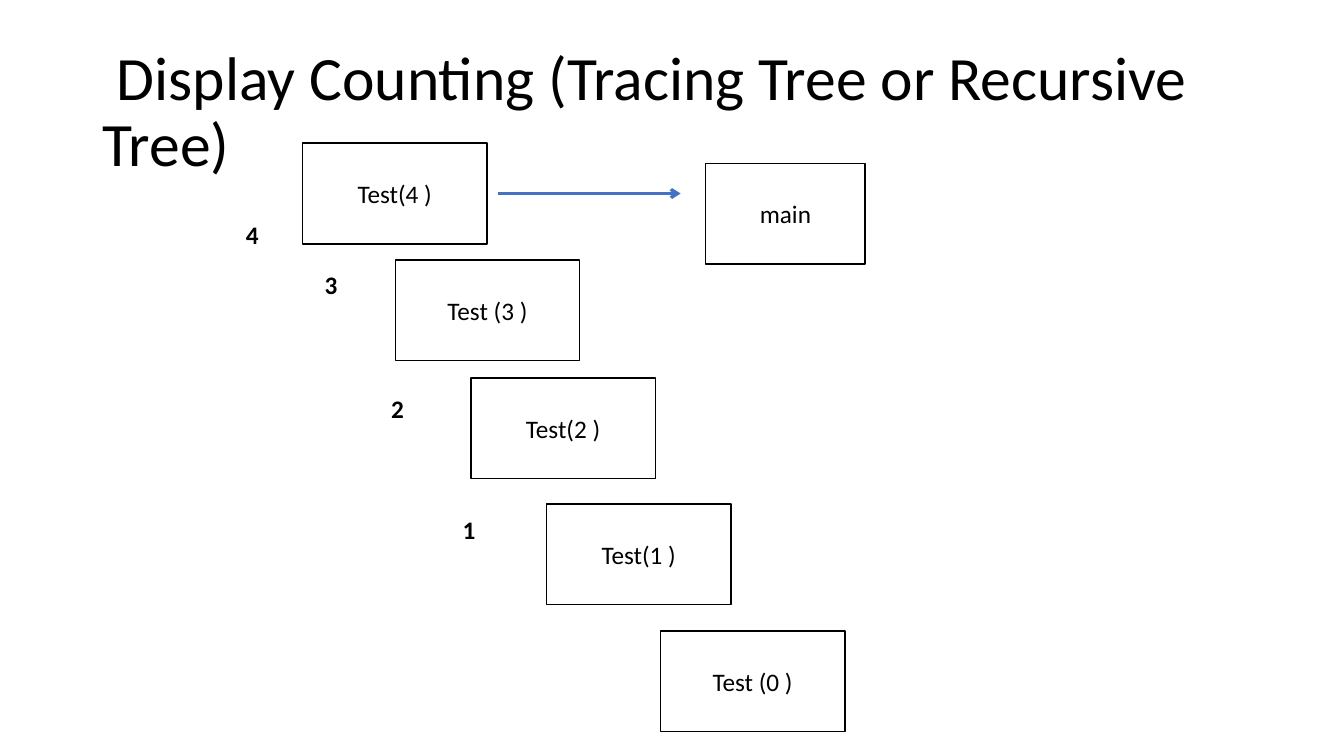
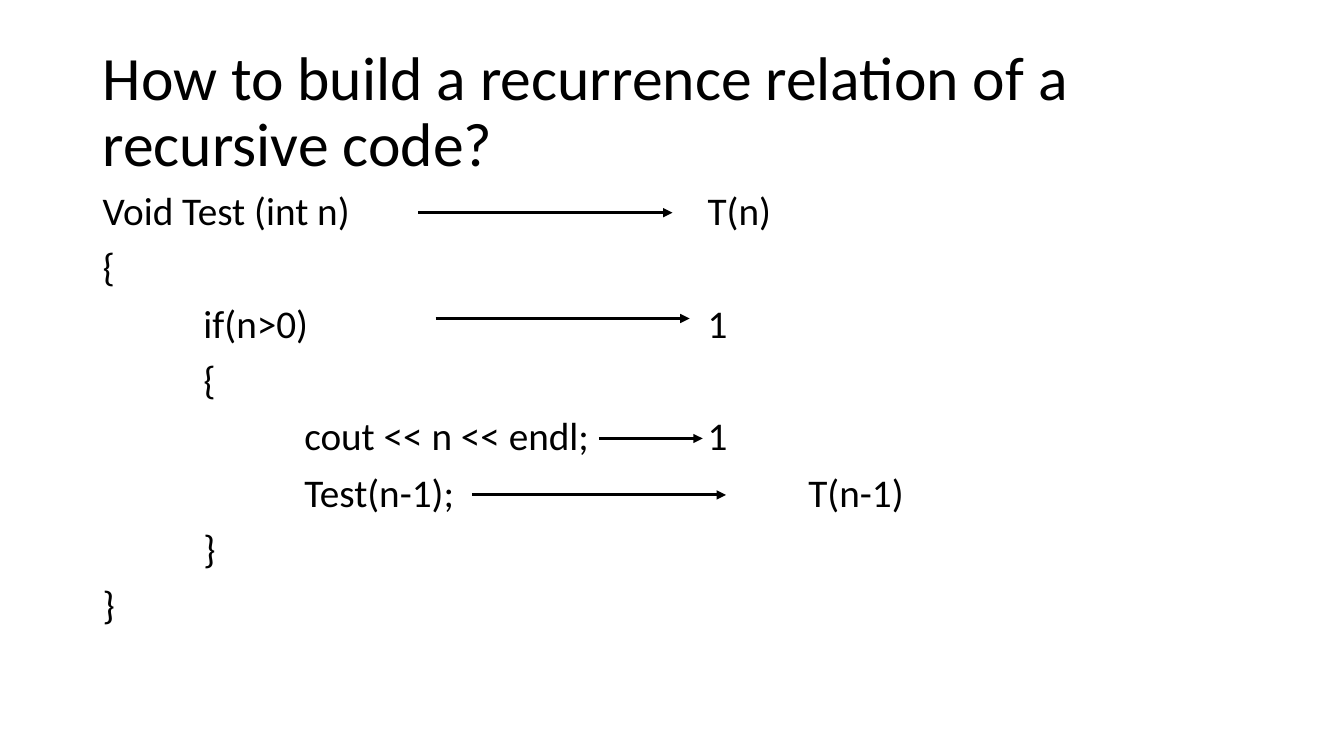
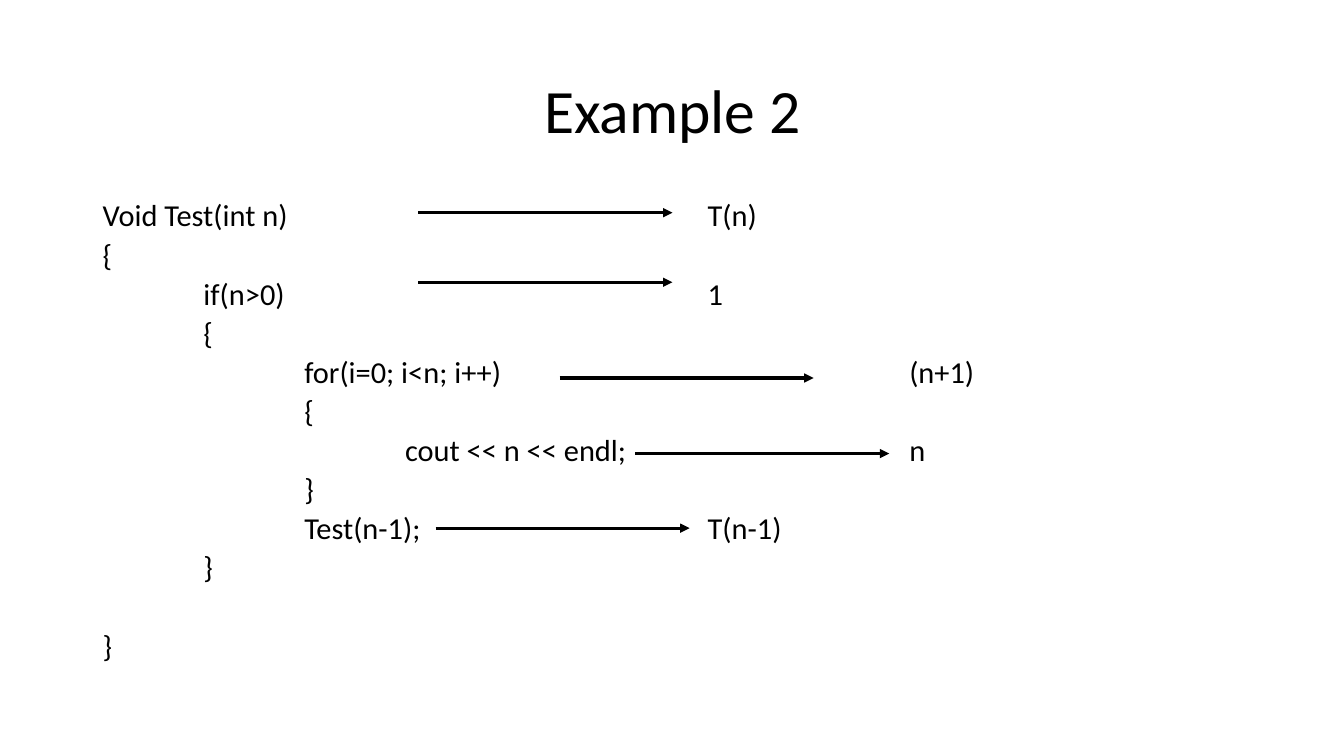
from lxml import etree
from pptx import Presentation
from pptx.dml.color import RGBColor
from pptx.enum.shapes import MSO_CONNECTOR, MSO_SHAPE
from pptx.enum.text import MSO_ANCHOR, PP_ALIGN
from pptx.oxml.ns import qn
from pptx.util import Emu, Pt

RECTANGLE = MSO_SHAPE.RECTANGLE
STRAIGHT = MSO_CONNECTOR.STRAIGHT
LEFT, CENTER = PP_ALIGN.LEFT, PP_ALIGN.CENTER
TOP, MIDDLE = MSO_ANCHOR.TOP, MSO_ANCHOR.MIDDLE

# Shared look: 100 px to the inch
EMU_PER_PX = 9144
FONT = "Calibri"
COLORS = {"ink": "000000", "paper": "FFFFFF", "accent": "4472C4"}
TITLE_BOX = (92, 40, 1150, 145)
TAB_WIDTH = 100
ARROW_LENGTH = 252

# Call tree: label, left, top
CALL_SIZE = (183, 100)
CALLS = [
    ("Test(4 )", 300, 142),
    ("Test (3 )", 392, 258),
    ("Test(2 )", 467, 375),
    ("Test(1 )", 542, 500),
    ("Test (0 )", 655, 626),
]
OUTPUTS = [("4", 234, 213), ("3", 312, 262), ("2", 378, 385), ("1", 449, 505)]

# Code rows: depth, code, then cost and its column where there is one
RECURRENCE_CODE = [
    (0, "Void Test (int n)", "T(n)", 600),
    (0, "{"),
    (1, "if(n>0)", "1", 600),
    (1, "{"),
    (2, "cout << n << endl;", "1", 600),
    (2, "Test(n-1);", "T(n-1)", 700),
    (1, "}"),
    (0, "}"),
]
LOOP_CODE = [
    (0, "Void Test(int n)", "T(n)", 600),
    (0, "{"),
    (1, "if(n>0)", "1", 600),
    (1, "{"),
    (2, "for(i=0; i<n; i++)", "(n+1)", 800),
    (2, "{"),
    (3, "cout << n << endl;", "n", 800),
    (2, "}"),
    (2, "Test(n-1);", "T(n-1)", 600),
    (1, "}"),
    (0, "}"),
]

# Cost arrows: left, top, length
RECURRENCE_ARROWS = [
    (415, 211, ARROW_LENGTH),
    (432, 316, ARROW_LENGTH),
    (594, 435, 103),
    (468, 491, ARROW_LENGTH),
]
LOOP_ARROWS = [
    (left, top, ARROW_LENGTH)
    for left, top in [(415, 211), (415, 280), (555, 375), (630, 450), (432, 524)]
]


def px(value):
    return Emu(value * EMU_PER_PX)


def color(name):
    return RGBColor.from_string(COLORS[name])


def write(paragraph, text, size=18, bold=False, align=LEFT, line_spacing=1.0,
          space_before=0, first_indent=0, tabs=()):
    """Fill one paragraph with formatted text."""
    properties = paragraph._p.get_or_add_pPr()
    if first_indent:
        properties.set("marL", "0")
        properties.set("indent", str(px(first_indent)))
    if tabs:
        tab_list = etree.SubElement(properties, qn("a:tabLst"))
        for position in tabs:
            etree.SubElement(tab_list, qn("a:tab"), pos=str(px(position)), algn="l")
    paragraph.alignment = align
    paragraph.line_spacing = line_spacing
    paragraph.space_before = Pt(space_before)
    run = paragraph.add_run()
    run.text = text
    run.font.name = FONT
    run.font.size = Pt(size)
    run.font.bold = bold
    run.font.color.rgb = color("ink")


def add_text_frame(slide, box, anchor=TOP):
    frame = slide.shapes.add_textbox(*map(px, box)).text_frame
    frame.word_wrap = True
    frame.vertical_anchor = anchor
    return frame


def add_titled_slide(presentation, title, **text_format):
    slide = presentation.slides.add_slide(presentation.slide_layouts[6])
    frame = add_text_frame(slide, TITLE_BOX, MIDDLE)
    write(frame.paragraphs[0], title, size=44, line_spacing=0.9, **text_format)
    return slide


def add_box(slide, label, left, top, width, height):
    shape = slide.shapes.add_shape(RECTANGLE, *map(px, (left, top, width, height)))
    shape.shadow.inherit = False
    shape.fill.solid()
    shape.fill.fore_color.rgb = color("paper")
    shape.line.color.rgb = color("ink")
    shape.line.width = Pt(1)
    shape.text_frame.vertical_anchor = MIDDLE
    write(shape.text_frame.paragraphs[0], label, align=CENTER)


def add_arrow(slide, left, top, length, line_color="ink", head="triangle"):
    connector = slide.shapes.add_connector(
        STRAIGHT, px(left), px(top), px(left + length), px(top))
    connector.line.color.rgb = color(line_color)
    connector.line.width = Pt(2.25)
    properties = connector._element.spPr
    etree.SubElement(properties.find(qn("a:ln")), qn("a:tailEnd"), type=head)
    etree.SubElement(properties, qn("a:effectLst"))


def add_code(slide, box, rows, gap, last_gap, **text_format):
    """Write code with tab stops for its depth and its cost column."""
    frame = add_text_frame(slide, box)
    for index, (depth, code, *cost) in enumerate(rows):
        paragraph = frame.add_paragraph() if index else frame.paragraphs[0]
        tabs = [TAB_WIDTH * (level + 1) for level in range(depth)]
        text = "\t" * depth + code
        if cost:
            text += "\t" + cost[0]
            tabs.append(cost[1])
        space = last_gap if index == len(rows) - 1 else gap
        write(paragraph, text, tabs=tabs, space_before=space if index else 0,
              **text_format)


def build_call_tree(presentation):
    slide = add_titled_slide(
        presentation, "Display Counting (Tracing Tree or Recursive Tree)",
        first_indent=14)
    for label, left, top in CALLS:
        add_box(slide, label, left, top, *CALL_SIZE)
    for number, left, top in OUTPUTS:
        frame = add_text_frame(slide, (left, top, 35, 40))
        write(frame.paragraphs[0], number, bold=True)
    add_box(slide, "main", 700, 162, 158, 100)
    add_arrow(slide, 494, 192, 181, line_color="accent", head="arrow")


def build_recurrence(presentation):
    slide = add_titled_slide(
        presentation, "How to build a recurrence relation of a recursive code?")
    add_code(slide, (92, 185, 1150, 491), RECURRENCE_CODE, gap=10, last_gap=10,
             size=28, line_spacing=0.9)
    for arrow in RECURRENCE_ARROWS:
        add_arrow(slide, *arrow)


def build_loop_example(presentation):
    slide = add_titled_slide(presentation, "Example 2", align=CENTER)
    # The closing brace stands one row further down
    add_code(slide, (92, 200, 1150, 476), LOOP_CODE, gap=9.7, last_gap=38,
             size=21.7, line_spacing=0.7)
    for arrow in LOOP_ARROWS:
        add_arrow(slide, *arrow)


def main():
    presentation = Presentation()
    presentation.slide_width = px(1333)
    presentation.slide_height = px(750)
    build_call_tree(presentation)
    build_recurrence(presentation)
    build_loop_example(presentation)
    presentation.save("out.pptx")


if __name__ == "__main__":
    main()
